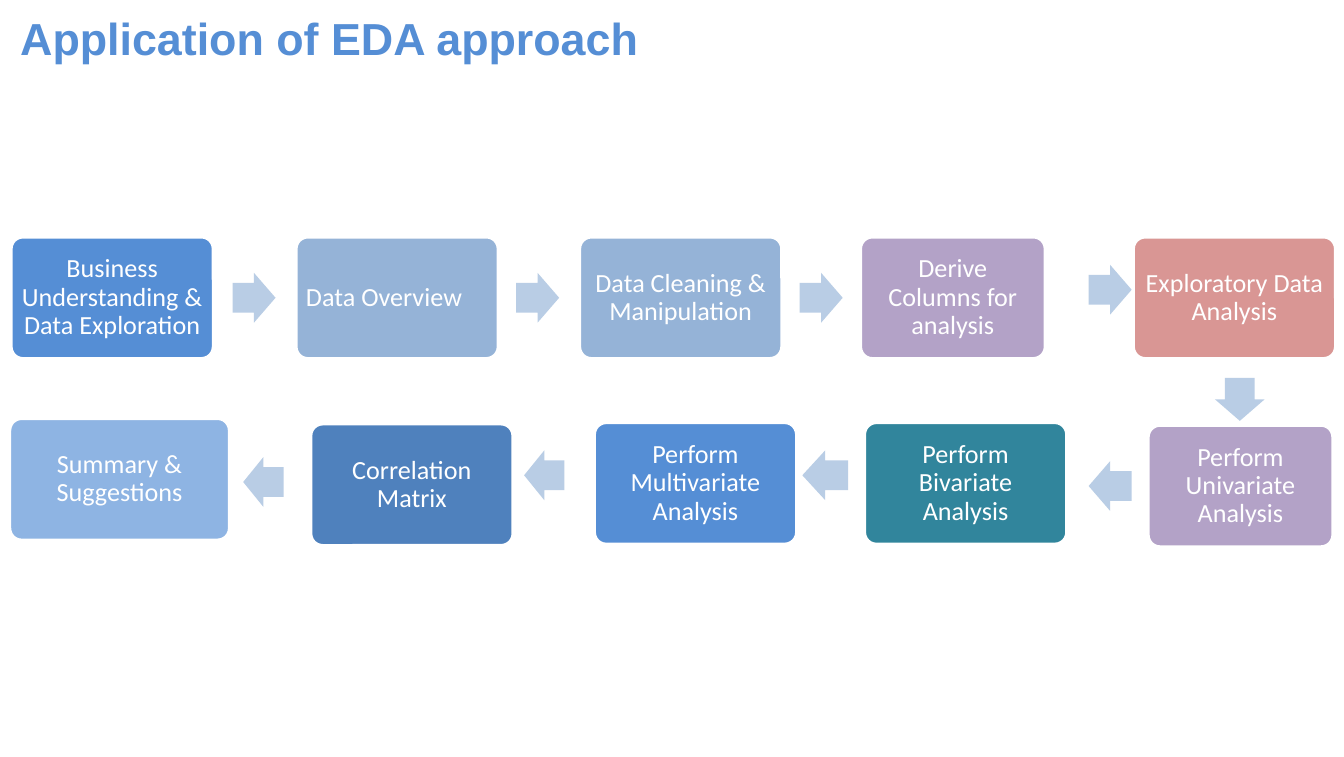
"""Build the slide that shows the EDA approach as a chain of steps."""
from pptx import Presentation
from pptx.dml.color import RGBColor
from pptx.enum.shapes import MSO_SHAPE
from pptx.enum.text import MSO_ANCHOR, PP_ALIGN
from pptx.util import Inches, Pt

COLORS = {
    "blue": "558ED5", "steel": "95B3D7", "sky": "8EB4E3", "navy": "4F81BD",
    "mauve": "B3A2C7", "rose": "D99694", "teal": "31859C",
    "arrow": "B9CDE5", "white": "FFFFFF",
}
STEPS = [
    ("Business Understanding & Data Exploration", 0.08, 1.76, 1.51, "blue"),
    ("Data Overview\t", 2.2, 1.76, 1.51, "steel"),
    ("Data Cleaning & Manipulation", 4.31, 1.76, 1.51, "steel"),
    ("Derive Columns for analysis", 6.4, 1.76, 1.38, "mauve"),
    ("Exploratory Data Analysis", 8.43, 1.76, 1.51, "rose"),
    ("Perform Univariate Analysis", 8.54, 3.16, 1.38, "mauve"),
    ("Perform Bivariate Analysis", 6.43, 3.14, 1.51, "teal"),
    ("Perform Multivariate Analysis", 4.42, 3.14, 1.51, "blue"),
    ("Correlation Matrix", 2.31, 3.15, 1.51, "navy"),
    ("Summary & Suggestions", 0.07, 3.11, 1.64, "sky"),
]
RIGHT, LEFT, DOWN = MSO_SHAPE.RIGHT_ARROW, MSO_SHAPE.LEFT_ARROW, MSO_SHAPE.DOWN_ARROW
ARROWS = [
    (RIGHT, 1.73, 2.03, 0.32, 0.37),
    (RIGHT, 3.84, 2.03, 0.32, 0.37),
    (RIGHT, 5.95, 2.03, 0.32, 0.37),
    (RIGHT, 8.1, 1.97, 0.32, 0.37),
    (DOWN, 9.04, 2.81, 0.37, 0.32),
    (LEFT, 8.1, 3.43, 0.32, 0.37),
    (LEFT, 5.97, 3.35, 0.34, 0.37),
    (LEFT, 3.9, 3.35, 0.3, 0.37),
    (LEFT, 1.81, 3.4, 0.3, 0.37),
]


def add_shape(kind, left, top, width, height, color):
    shape = slide.shapes.add_shape(
        kind, Inches(left), Inches(top), Inches(width), Inches(height))
    shape.shadow.inherit = False
    shape.fill.solid()
    shape.fill.fore_color.rgb = RGBColor.from_string(COLORS[color])
    shape.line.fill.background()
    return shape


def set_font(para, name, size, color, bold=False):
    for run in para.runs:
        run.font.name = name
        run.font.size = Pt(size)
        run.font.bold = bold
        run.font.color.rgb = RGBColor.from_string(COLORS[color])


deck = Presentation()
deck.slide_width, deck.slide_height = Inches(10), Inches(5.63)
slide = deck.slides.add_slide(deck.slide_layouts[5])

title = slide.shapes.title
title.left, title.top = Inches(0.14), Inches(0.07)
title.width, title.height = Inches(5.62), Inches(0.42)
frame = title.text_frame
frame.text = "Application of EDA approach"
frame.vertical_anchor = MSO_ANCHOR.TOP
frame.margin_left = Inches(0.01)
frame.margin_top = Inches(0.01)
frame.margin_right = frame.margin_bottom = 0
para = frame.paragraphs[0]
para.alignment = PP_ALIGN.LEFT
para.space_before = Pt(1)
set_font(para, "Arial", 24, "blue", True)

for text, left, top, width, color in STEPS:
    box = add_shape(MSO_SHAPE.ROUNDED_RECTANGLE, left, top, width, 0.91, color)
    box.adjustments[0] = 0.1
    box.line.color.rgb = RGBColor.from_string(COLORS["white"])
    box.line.width = Pt(2)
    frame = box.text_frame
    frame.text = text
    frame.word_wrap = True
    frame.vertical_anchor = MSO_ANCHOR.MIDDLE
    frame.margin_left = frame.margin_right = Inches(0.05)
    frame.margin_top = frame.margin_bottom = Inches(0.05)
    para = frame.paragraphs[0]
    para.alignment = PP_ALIGN.CENTER
    para.line_spacing = 0.9
    set_font(para, "Calibri", 14, "white")

for kind, left, top, width, height in ARROWS:
    arrow = add_shape(kind, left, top, width, height, "arrow")
    arrow.adjustments[0] = 0.6
    arrow.adjustments[1] = 0.5

deck.save("out.pptx")
